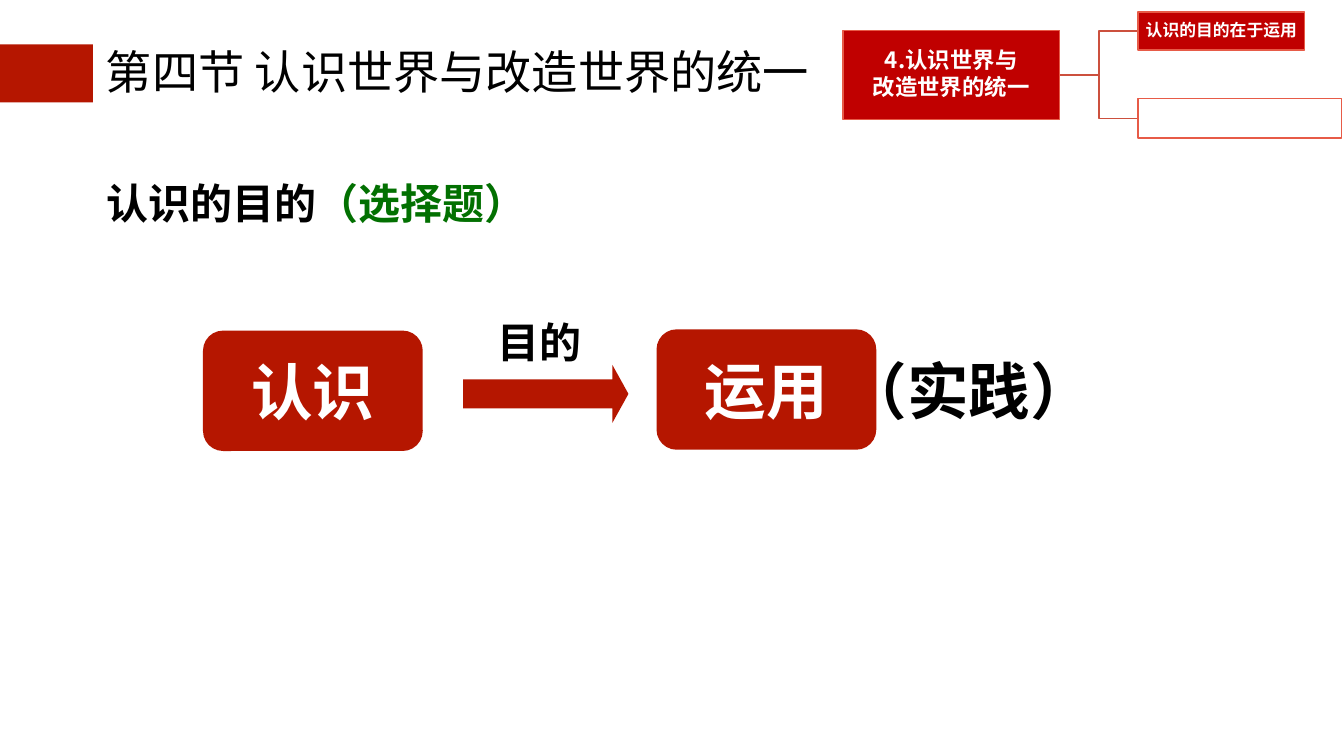
from dataclasses import dataclass

from lxml import etree
from pptx import Presentation
from pptx.dml.color import RGBColor
from pptx.enum import shapes, text
from pptx.oxml.ns import qn
from pptx.util import Pt

CJK_FONT = "Noto Sans CJK SC"
BRICK, CRIMSON, BORDER, LINK = "B51600", "C00000", "E75B47", "CC503E"
BLACK, WHITE, GREEN = "000000", "FFFFFF", "027001"


@dataclass
class Box:
    left: float
    top: float
    width: float
    height: float

    @property
    def middle(self) -> float:
        return self.top + self.height / 2

    def lengths(self) -> list:
        return [Pt(value) for value in (self.left, self.top, self.width, self.height)]


@dataclass
class Style:
    size: float
    color: str = BLACK
    font: str = CJK_FONT
    bold: bool = True


@dataclass
class Topic:
    box: Box
    fill: str
    lines: str = ""
    size: float = 24


def color(hex_code: str) -> RGBColor:
    return RGBColor.from_string(hex_code)


def format_run(run, style: Style) -> None:
    font = run.font
    font.size, font.bold, font.name = Pt(style.size), style.bold, style.font
    font.color.rgb = color(style.color)
    etree.SubElement(run._r.rPr, qn("a:ea"), typeface=CJK_FONT)


def write(shape, lines: str, style: Style, inset: float, wrap: bool = False,
          anchor=text.MSO_ANCHOR.MIDDLE) -> None:
    """Fill a shape with centred text."""
    frame = shape.text_frame
    frame.text = lines
    frame.auto_size = text.MSO_AUTO_SIZE.NONE
    frame.word_wrap, frame.vertical_anchor = wrap, anchor
    frame.margin_left = frame.margin_right = Pt(inset)
    frame.margin_top = frame.margin_bottom = Pt(inset)
    for paragraph in frame.paragraphs:
        paragraph.alignment = text.PP_ALIGN.CENTER
        for run in paragraph.runs:
            format_run(run, style)


def add_block(slide, preset, box: Box, fill: str, border: str = ""):
    shape = slide.shapes.add_shape(preset, *box.lengths())
    shape.shadow.inherit = False
    shape.fill.solid()
    shape.fill.fore_color.rgb = color(fill)
    if border:
        shape.line.color.rgb = color(border)
        shape.line.width = Pt(2)
    else:
        shape.line.fill.background()
    return shape


def add_label(slide, box: Box, words: str, style: Style, **options):
    label = slide.shapes.add_textbox(*box.lengths())
    write(label, words, style, inset=4, **options)
    return label


def add_topic(slide, topic: Topic) -> None:
    shape = add_block(slide, shapes.MSO_SHAPE.RECTANGLE, topic.box, topic.fill, BORDER)
    if topic.lines:
        write(shape, topic.lines, Style(topic.size, WHITE), inset=1.5, wrap=True)
        for paragraph in shape.text_frame.paragraphs:
            paragraph.line_spacing = 0.9
            paragraph.space_after = Pt(4)


def add_branch(slide, parent: Box, child: Box) -> None:
    """Draw a stepped line from the parent's right side to the child's left."""
    start = parent.left + parent.width
    bend = (start + child.left) / 2
    builder = slide.shapes.build_freeform(start, parent.middle, scale=Pt(1))
    builder.add_line_segments(
        [(bend, parent.middle), (bend, child.middle), (child.left, child.middle)],
        close=False)
    branch = builder.convert_to_shape()
    branch.shadow.inherit = False
    branch.fill.background()
    branch.line.color.rgb = color(LINK)
    branch.line.width = Pt(2)


def add_heading(slide) -> None:
    add_block(slide, shapes.MSO_SHAPE.RECTANGLE, Box(-2, 63.4, 134.6, 82.8), BRICK)
    title = slide.shapes.title
    title.left, title.top, title.width, title.height = Box(140.4, 57.6, 1026.7, 87).lengths()
    write(title, "第四节 认识世界与改造世界的统一", Style(66, bold=False),
          inset=3.6, anchor=text.MSO_ANCHOR.TOP)

    subtitle = add_label(slide, Box(145.4, 249.8, 613.4, 80), "认识的目的",
                         Style(60), anchor=text.MSO_ANCHOR.TOP)
    note = subtitle.text_frame.paragraphs[0].add_run()
    note.text = "（选择题）"
    format_run(note, Style(60, GREEN))


def add_purpose_flow(slide) -> None:
    for left, top, words in ((290, 472.3, "认识"), (938, 470.5, "运用")):
        card = add_block(slide, shapes.MSO_SHAPE.ROUNDED_RECTANGLE,
                         Box(left, top, 314, 172), BRICK)
        card.adjustments[0] = 0.167
        write(card, words, Style(88, WHITE, "Arial"), inset=4)

    arrow = add_block(slide, shapes.MSO_SHAPE.RIGHT_ARROW, Box(661.7, 521.3, 236.2, 82.8), BRICK)
    arrow.adjustments[0], arrow.adjustments[1] = 0.5, 0.277
    add_label(slide, Box(706.3, 442, 129, 92), "目的", Style(60))
    add_label(slide, Box(1203.8, 491, 360.7, 131), "（实践）", Style(88, font="Arial"))


def add_outline(slide) -> None:
    parent = Topic(Box(1204.6, 43.2, 308.9, 127.4), CRIMSON,
                   "4.认识世界与\n改造世界的统一", 32)
    children = [Topic(Box(1625.8, 17.3, 238.3, 54), CRIMSON, "认识的目的在于运用"),
                Topic(Box(1625.8, 141.1, 290.9, 56.2), WHITE)]
    for child in children:
        add_branch(slide, parent.box, child.box)
    for topic in (parent, *children):
        add_topic(slide, topic)


def main() -> None:
    presentation = Presentation()
    presentation.slide_width, presentation.slide_height = Pt(1920.24), Pt(1080)
    slide = presentation.slides.add_slide(presentation.slide_layouts[5])
    add_heading(slide)
    add_purpose_flow(slide)
    add_outline(slide)
    presentation.save("out.pptx")


if __name__ == "__main__":
    main()
